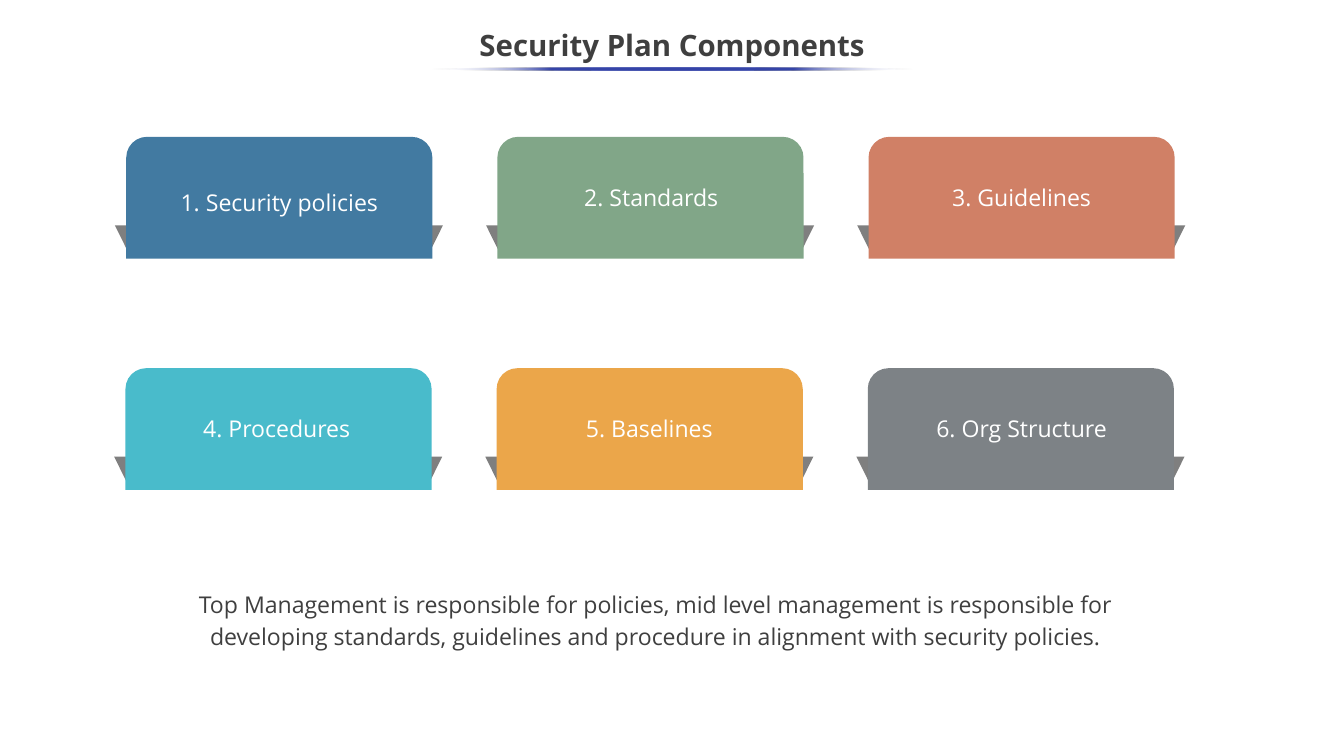
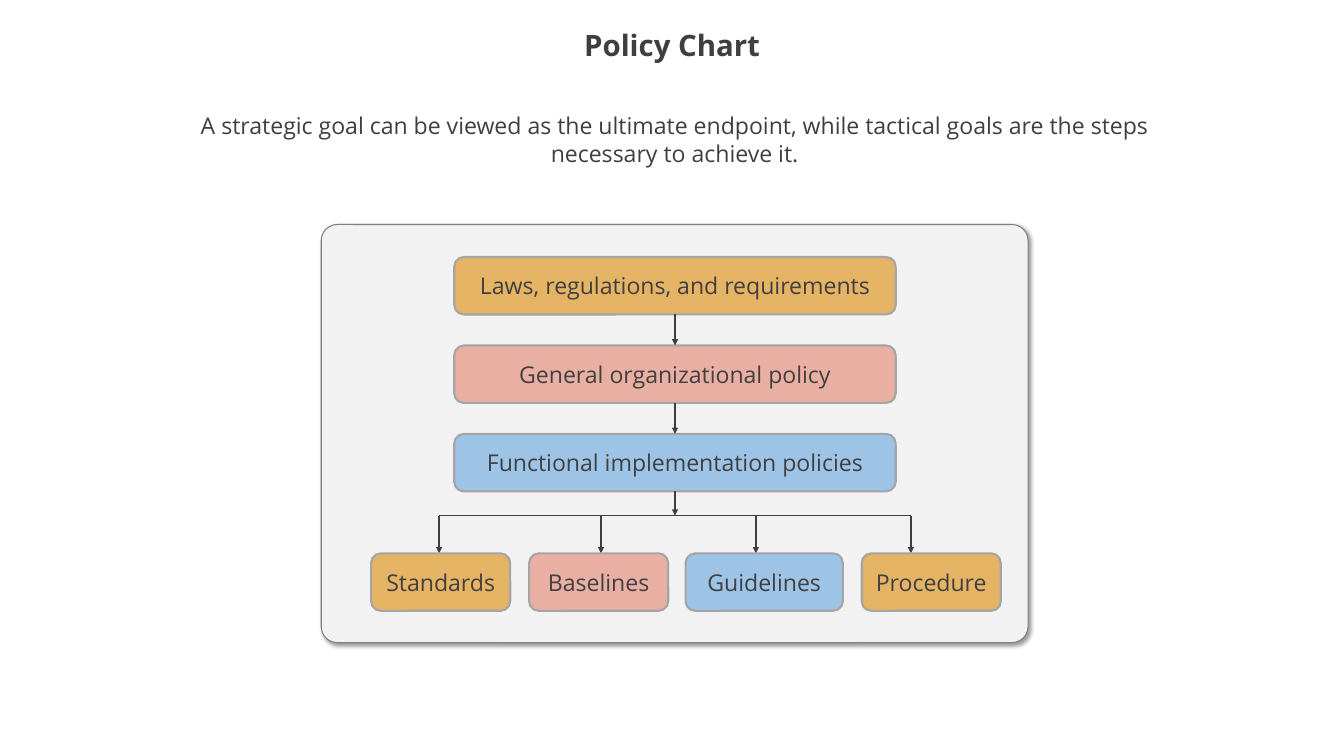
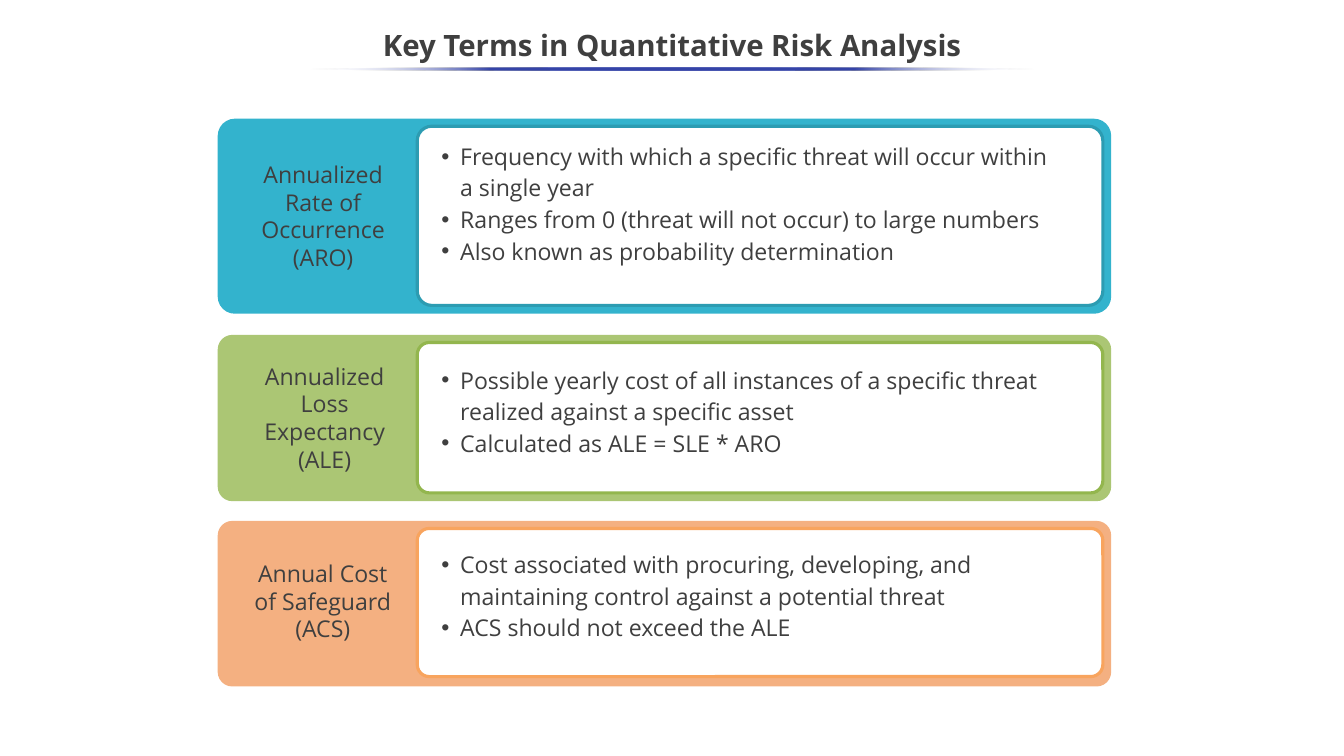
from lxml.etree import SubElement
from pptx import Presentation
from pptx.dml.color import RGBColor
from pptx.enum.shapes import MSO_CONNECTOR, MSO_SHAPE
from pptx.enum.text import MSO_ANCHOR, PP_ALIGN
from pptx.oxml import parse_xml
from pptx.oxml.ns import nsdecls, qn
from pptx.util import Inches, Pt

# Shared style
FONT = "Open Sans"
COLORS = {
    "text": "3F3F3F", "box_text": "404040", "white": "FFFFFF", "rule": "3645A9",
    "tab": "7F7F7F", "panel": "F2F2F2", "panel_line": "808080", "box_line": "A5A5A5",
    "blue": "427AA1", "green": "81A688", "coral": "D08066",
    "teal": "49BBCB", "amber": "EBA64A", "gray": "7D8286",
    "gold": "E4B363", "pink": "E9AFA3", "sky": "9DC3E6",
    "cyan": "33B3CD", "cyan_line": "2C9CB2", "lime": "ABC674",
    "lime_line": "93B64E", "peach": "F4B081", "peach_line": "F8A45E",
}
INSETS = (0.1, 0.05, 0.1, 0.05)

# Slide 1: label, colour, label left, label width
COMPONENTS = [
    [("1. Security policies", "blue", 1.67, 4.05),
     ("2. Standards", "green", 6.59, 4.05),
     ("3. Guidelines", "coral", 11.51, 4.01)],
    [("4. Procedures", "teal", 1.82, 3.68),
     ("5. Baselines", "amber", 6.75, 3.68),
     ("6. Org Structure", "gray", 11.51, 4.01)],
]
CARD_ROWS = [(1.67, 1.81), (1.66, 4.87)]
CARD_PITCH = 4.91
MANAGEMENT = [
    "Top Management is responsible for policies, mid level management is responsible for",
    "developing standards, guidelines and procedure in alignment with security policies.",
]

# Slide 2
GOALS = ("A strategic goal can be viewed as the ultimate endpoint, while tactical goals "
         "are the steps necessary to achieve it.")
POLICIES = [
    ("Laws, regulations, and requirements", "gold"),
    ("General organizational policy", "pink"),
    ("Functional implementation policies", "sky"),
]
# label, colour, left, width, arrow x
DOCUMENTS = [
    ("Standards", "gold", 4.91, 1.84, 5.81),
    ("Baselines", "pink", 7.0, 1.84, 7.95),
    ("Guidelines", "sky", 9.07, 2.08, 10.0),
    ("Procedure", "gold", 11.4, 1.84, 12.05),
]

# Slide 3: colour, band (top, height), inner height, term box, bullet box, texts
TERMS = [
    {"color": "cyan", "band": (1.57, 2.58), "inner": 2.37,
     "term": "Annualized Rate of Occurrence (ARO)", "term_box": (3.11, 2.07, 2.33, 0.51),
     "bullet_box": (5.74, 1.83, 8.7, 0.5),
     "bullets": ["Frequency with which a specific threat will occur within a single year",
                 "Ranges from 0 (threat will not occur) to large numbers",
                 "Also known as probability determination"]},
    {"color": "lime", "band": (4.43, 2.2), "inner": 1.99,
     "term": "Annualized Loss Expectancy (ALE)", "term_box": (3.13, 4.74, 2.33, 0.51),
     "bullet_box": (5.74, 4.79, 8.7, 0.5),
     "bullets": ["Possible yearly cost of all instances of a specific threat realized "
                 "against a specific asset",
                 "Calculated as ALE = SLE * ARO"]},
    {"color": "peach", "band": (6.89, 2.19), "inner": 1.96,
     "term": "Annual Cost of Safeguard (ACS)", "term_box": (3.16, 7.35, 2.22, 0.51),
     "bullet_box": (5.74, 7.23, 9.1, 0.5),
     "bullets": ["Cost associated with procuring, developing, and maintaining control "
                 "against a potential threat",
                 "ACS should not exceed the ALE"]},
]


def rgb(name):
    return RGBColor.from_string(COLORS[name])


def add_bullet(p):
    pPr = p._p.get_or_add_pPr()
    pPr.set("marL", str(Inches(0.25)))
    pPr.set("indent", str(-Inches(0.25)))
    clr = SubElement(pPr, qn("a:buClr"))
    SubElement(clr, qn("a:srgbClr"), val=COLORS["text"])
    SubElement(pPr, qn("a:buFont"), typeface="Arial")
    SubElement(pPr, qn("a:buChar"), char="•")


def write(sp, paragraphs, color="text", size=22, bold=False, spacing=None,
          anchor=MSO_ANCHOR.TOP, insets=INSETS, bullets=False):
    """Fill a shape with paragraphs; each is a list of lines."""
    tf = sp.text_frame
    tf.word_wrap = True
    tf.vertical_anchor = anchor
    tf.margin_left, tf.margin_top, tf.margin_right, tf.margin_bottom = map(Inches, insets)
    for i, lines in enumerate(paragraphs):
        p = tf.paragraphs[0] if i == 0 else tf.add_paragraph()
        if bullets:
            add_bullet(p)
        p.alignment = PP_ALIGN.LEFT if bullets else PP_ALIGN.CENTER
        if spacing:
            p.line_spacing = spacing
        for j, line in enumerate(lines):
            if j:
                p.add_line_break()
            r = p.add_run()
            r.text = line
            r.font.name, r.font.size, r.font.bold = FONT, Pt(size), bold
            r.font.color.rgb = rgb(color)


def add_text(shapes, box, paragraphs, **style):
    write(shapes.add_textbox(*map(Inches, box)), paragraphs, **style)


def add_block(shapes, kind, box, fill, adj=(), line=None, width=1):
    sp = shapes.add_shape(kind, *map(Inches, box))
    sp.shadow.inherit = False
    for i, value in enumerate(adj):
        sp.adjustments[i] = value
    sp.fill.solid()
    sp.fill.fore_color.rgb = rgb(fill)
    if line:
        sp.line.color.rgb = rgb(line)
        sp.line.width = Pt(width)
    else:
        sp.line.fill.background()
    return sp


def add_line(shapes, x1, y1, x2, y2, arrow=True):
    sp = shapes.add_connector(MSO_CONNECTOR.STRAIGHT, *map(Inches, (x1, y1, x2, y2)))
    sp.line.color.rgb = rgb("text")
    sp.line.width = Pt(1.5)
    spPr = sp._element.spPr
    if arrow:
        SubElement(spPr.find(qn("a:ln")), qn("a:tailEnd"), type="triangle")
    SubElement(spPr, qn("a:effectLst"))
    return sp


def add_slide(prs, title):
    slide = prs.slides.add_slide(prs.slide_layouts[6])
    add_text(slide.shapes, (-0.01, 0.25, 17.8, 0.75), [[title]], size=28, bold=True,
             spacing=0.9, anchor=MSO_ANCHOR.MIDDLE)
    return slide.shapes


def add_title_rule(shapes, left, width):
    sp = add_block(shapes, MSO_SHAPE.OVAL, (left, 0.89, width, 0.04), "rule")
    stops = ""
    for pos in (0, 25, 50, 75, 100):
        edge = pos in (0, 100)
        color = COLORS["white" if edge else "rule"]
        alpha = '<a:alpha val="0"/>' if edge else ""
        stops += f'<a:gs pos="{pos * 1000}"><a:srgbClr val="{color}">{alpha}</a:srgbClr></a:gs>'
    grad = parse_xml(f'<a:gradFill {nsdecls("a")}><a:gsLst>{stops}</a:gsLst>'
                     '<a:lin ang="10800000" scaled="0"/></a:gradFill>')
    spPr = sp._element.spPr
    spPr.replace(spPr.find(qn("a:solidFill")), grad)


def add_panel_shadow(sp):
    effects = sp._element.spPr.find(qn("a:effectLst"))
    shadow = SubElement(effects, qn("a:outerShdw"), blurRad=str(Pt(4)), dist=str(Pt(3)),
                        dir=str(45 * 60000), algn="tl", rotWithShape="0")
    clr = SubElement(shadow, qn("a:srgbClr"), val="000000")
    SubElement(clr, qn("a:alpha"), val="40000")


def build_components(prs):
    shapes = add_slide(prs, "Security Plan Components")
    add_text(shapes, (1.66, 7.71, 14.02, 0.95), [MANAGEMENT], spacing=1.14, insets=(0.05,) * 4)
    cards = shapes.add_group_shape().shapes
    for (left, top), row in zip(CARD_ROWS, COMPONENTS):
        for col, (label, color, label_left, label_width) in enumerate(row):
            x = left + col * CARD_PITCH
            tab = add_block(cards, MSO_SHAPE.TRAPEZOID, (x - 0.15, top + 1.17, 4.34, 0.43),
                            "tab", [0.494])
            tab.rotation = 180
            add_block(cards, MSO_SHAPE.ROUND_2_SAME_RECTANGLE, (x, top, 4.05, 1.61),
                      color, [0.17, 0])
            # The first label sits slightly lower than the rest
            dy, height = (0.63, 0.47) if label.startswith("1.") else (0.49, 0.61)
            add_text(cards, (label_left, top + dy, label_width, height), [[label]],
                     color="white", anchor=MSO_ANCHOR.MIDDLE)
    add_title_rule(shapes, 5.71, 6.37)


def build_policy_chart(prs):
    shapes = add_slide(prs, "Policy Chart")
    add_text(shapes, (2.17, 1.43, 13.51, 0.84), [[GOALS]])
    panel = add_block(shapes, MSO_SHAPE.ROUNDED_RECTANGLE, (4.25, 2.97, 9.35, 5.53),
                      "panel", [0.038], "panel_line")
    add_panel_shadow(panel)

    def add_box(label, color, left, top, width):
        sp = add_block(shapes, MSO_SHAPE.ROUNDED_RECTANGLE, (left, top, width, 0.76),
                       color, [0.167], "box_line", 2)
        write(sp, [[label]], color="box_text", anchor=MSO_ANCHOR.MIDDLE)
        return sp

    # Chain of policies
    center, bar_y, box_y = 8.93, 6.82, 7.32
    chain = [add_box(label, color, 6.01, 3.4 + i * 1.17, 5.84)
             for i, (label, color) in enumerate(POLICIES)]
    for upper, lower in zip(chain, chain[1:]):
        arrow = add_line(shapes, center, 4, center, 5)
        arrow.begin_connect(upper, 2)
        arrow.end_connect(lower, 0)
    add_line(shapes, center, 6.5, center, bar_y).begin_connect(chain[-1], 2)

    # Branches to the documents
    add_line(shapes, DOCUMENTS[0][4], bar_y, DOCUMENTS[-1][4], bar_y, arrow=False)
    for label, color, left, width, x in DOCUMENTS:
        add_line(shapes, x, bar_y, x, box_y)
        add_box(label, color, left, box_y, width)


def build_key_terms(prs):
    shapes = add_slide(prs, "Key Terms in Quantitative Risk Analysis")
    for term in TERMS:
        top, height = term["band"]
        band = shapes.add_group_shape().shapes
        add_block(band, MSO_SHAPE.ROUNDED_RECTANGLE, (2.88, top, 11.82, height),
                  term["color"], [0.088])
        add_text(band, term["term_box"], [[term["term"]]])
        add_block(band, MSO_SHAPE.ROUNDED_RECTANGLE, (5.52, top + 0.1, 9.07, term["inner"]),
                  "white", [0.081], term["color"] + "_line", 3)
        add_text(shapes, term["bullet_box"], [[b] for b in term["bullets"]], spacing=1.14,
                 insets=(0.1, 0, 0.4, 0.5), bullets=True)
    add_title_rule(shapes, 4.1, 9.6)


def main():
    prs = Presentation()
    prs.slide_width, prs.slide_height = Inches(17.78), Inches(10)
    build_components(prs)
    build_policy_chart(prs)
    build_key_terms(prs)
    prs.save("out.pptx")


if __name__ == "__main__":
    main()
